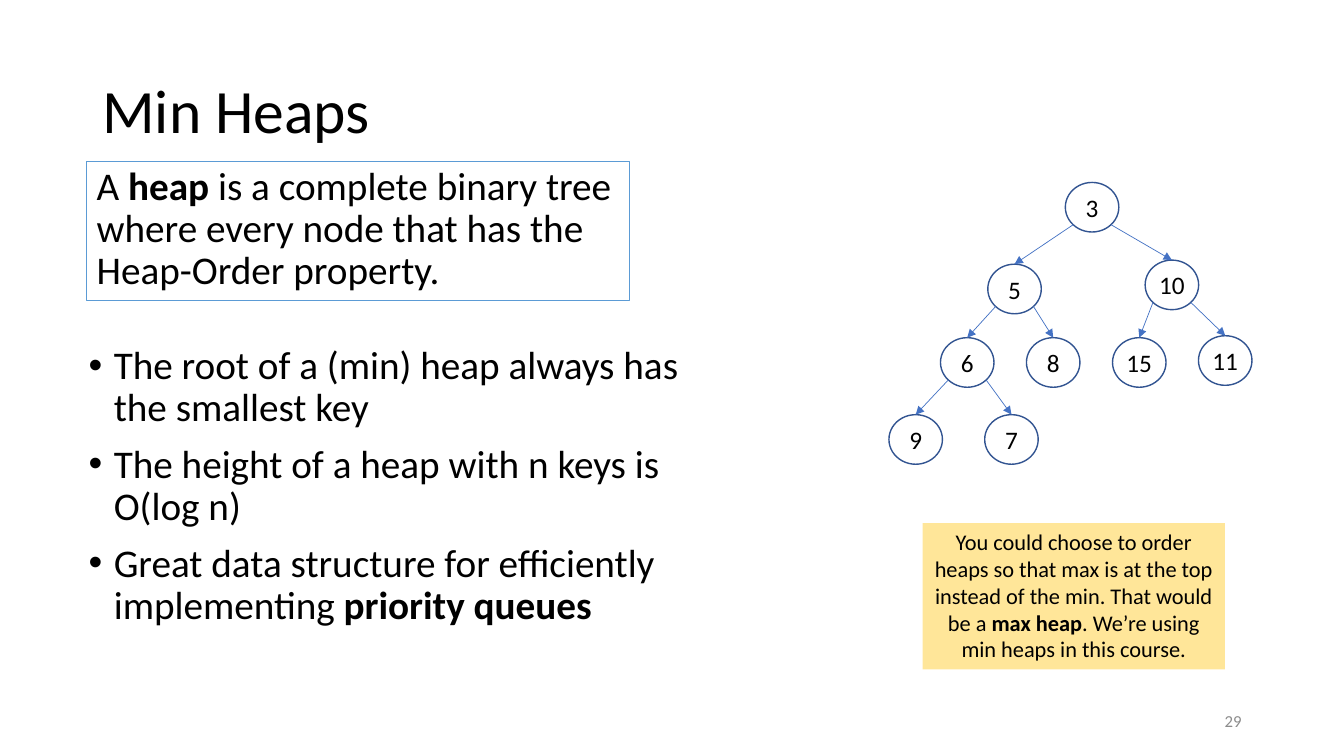
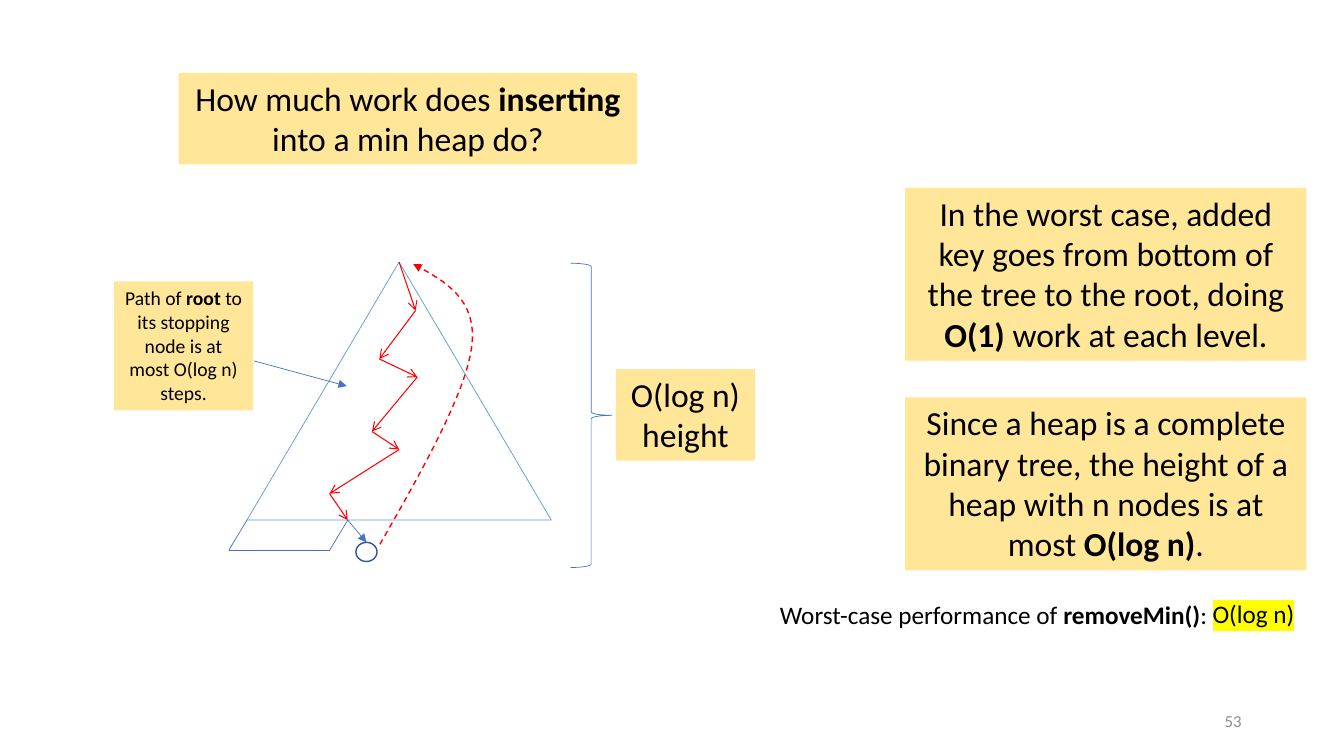
"""Builds two slides on min heaps: their definition and the cost of inserting."""
from itertools import pairwise

from lxml.etree import SubElement
from pptx import Presentation
from pptx.dml.color import RGBColor
from pptx.enum.dml import MSO_LINE
from pptx.enum.shapes import MSO_CONNECTOR, MSO_SHAPE as SHAPE
from pptx.enum.text import MSO_ANCHOR as ANCHOR, PP_ALIGN as ALIGN
from pptx.oxml.ns import qn
from pptx.util import Pt

FONT = "Calibri"
BLACK = RGBColor(0x00, 0x00, 0x00)
GREY = RGBColor(0x8C, 0x8C, 0x8C)
NAVY = RGBColor(0x32, 0x54, 0x91)
BLUE = RGBColor(0x44, 0x72, 0xC4)
SKY = RGBColor(0x5B, 0x9B, 0xD5)
RED = RGBColor(0xFF, 0x00, 0x00)
SAND = RGBColor(0xFF, 0xE6, 0x99)
YELLOW = RGBColor(0xFF, 0xFF, 0x00)

NODE_W, NODE_H = 38.2, 35.4
DIAGONAL = 0.5 ** 0.5 / 2
HEAP = {
    3: (761, 130.3),
    5: (705.6, 188.7), 10: (818, 185.8),
    6: (671.8, 241.2), 8: (733.2, 241.2), 15: (794.7, 241.2), 11: (856.1, 239.8),
    9: (635, 296.2), 7: (703.4, 296.2),
}
CHILDREN = {3: (5, 10), 5: (6, 8), 10: (15, 11), 6: (9, 7)}

LAST_LEVEL = [(176.4, 371.5), (163.4, 393.1), (235.4, 393.1), (248.4, 371.5)]
SIFT_STEPS = [(285.1, 187.2), (296.9, 221.8), (271, 256.4), (298.1, 269.3),
              (265.7, 308.2), (285.1, 321.1), (235.4, 352.6), (248.4, 371.5)]
RETURN_CURVES = [
    [(271.4, 388.8), (302.4, 334.8), (332.6, 280.8), (337, 247.7)],
    [(337, 247.7), (341.3, 213.8), (318.2, 200.9), (295.2, 188.6)],
]


def write(shape, *paragraphs, size=24, color=BLACK, align=ALIGN.LEFT, anchor=ANCHOR.TOP,
          spacing=None, before=None, bullet=False, wrap=True, inset=None, highlight=None):
    """Fill a shape with paragraphs in which ** marks bold and a newline breaks the line."""
    frame = shape.text_frame
    frame.word_wrap = wrap
    frame.vertical_anchor = anchor
    if inset is not None:
        frame.margin_left = frame.margin_right = Pt(inset)
        frame.margin_top = frame.margin_bottom = Pt(inset)
    for index, text in enumerate(paragraphs):
        paragraph = frame.add_paragraph() if index else frame.paragraphs[0]
        paragraph.alignment = align
        if spacing:
            paragraph.line_spacing = spacing
        if before:
            paragraph.space_before = Pt(before)
        if bullet:
            add_bullet(paragraph)
        for part, words in enumerate(text.split("**")):
            for row, line in enumerate(words.split("\n")):
                if row:
                    paragraph.add_line_break()
                if line:
                    add_run(paragraph, line, size, color, part % 2 == 1, highlight)


def add_run(paragraph, words, size, color, bold, highlight):
    """Add one run of formatted text."""
    run = paragraph.add_run()
    run.text = words
    font = run.font
    font.name, font.size, font.bold = FONT, Pt(size), bold
    font.color.rgb = color
    if highlight:
        properties = run._r.get_or_add_rPr()
        marker = SubElement(properties, qn("a:highlight"))
        SubElement(marker, qn("a:srgbClr"), val=str(highlight))
        properties.find(qn("a:solidFill")).addnext(marker)


def add_bullet(paragraph):
    """Give a paragraph a round bullet with a hanging indent."""
    properties = paragraph._p.get_or_add_pPr()
    properties.set("marL", str(Pt(18)))
    properties.set("indent", str(-Pt(18)))
    SubElement(properties, qn("a:buFont"), typeface="Arial")
    SubElement(properties, qn("a:buChar"), char="•")


def add_label(slide, box, *paragraphs, **text_format):
    """Add a text box without fill or outline."""
    label = slide.shapes.add_textbox(*map(Pt, box))
    write(label, *paragraphs, **text_format)


def add_outline(slide, kind, box, color, width):
    """Add an unfilled preset shape."""
    outline = slide.shapes.add_shape(kind, *map(Pt, box))
    outline.shadow.inherit = False
    outline.fill.background()
    outline.line.color.rgb = color
    outline.line.width = Pt(width)
    return outline


def add_note(slide, box, text, size=24):
    """Add a sand-coloured note with centred text."""
    note = slide.shapes.add_shape(SHAPE.RECTANGLE, *map(Pt, box))
    note.shadow.inherit = False
    note.fill.solid()
    note.fill.fore_color.rgb = SAND
    note.line.fill.background()
    write(note, text, size=size, align=ALIGN.CENTER)


def add_tip(shape, tip):
    """Put an arrowhead at the end of a line."""
    SubElement(shape.line._get_or_add_ln(), qn("a:tailEnd"), type=tip)


def add_line(slide, start, end, color=BLUE, width=0.5, tip=None, target=None):
    """Add a straight line, with an arrowhead and a target to join at its top if given."""
    line = slide.shapes.add_connector(MSO_CONNECTOR.STRAIGHT, *map(Pt, (*start, *end)))
    line.line.color.rgb = color
    line.line.width = Pt(width)
    SubElement(line._element.spPr, qn("a:effectLst"))
    if tip:
        add_tip(line, tip)
    if target:
        line.end_connect(target, 0)


def add_heap(slide):
    """Draw the example heap with an arrow from each parent to its children."""
    nodes = {}
    for key, (left, top) in HEAP.items():
        nodes[key] = add_outline(slide, SHAPE.OVAL, (left, top, NODE_W, NODE_H), NAVY, 1)
        write(nodes[key], str(key), size=18, align=ALIGN.CENTER,
              anchor=ANCHOR.MIDDLE, wrap=False, inset=0)
    for parent, children in CHILDREN.items():
        left, top = HEAP[parent]
        for child, side in zip(children, (-1, 1)):
            start = (left + NODE_W * (0.5 + side * DIAGONAL), top + NODE_H * (0.5 + DIAGONAL))
            child_left, child_top = HEAP[child]
            add_line(slide, start, (child_left + NODE_W / 2, child_top),
                     tip="triangle", target=nodes[child])


def bezier(points, t):
    """Return the point at t on a cubic curve."""
    weights = ((1 - t) ** 3, 3 * t * (1 - t) ** 2, 3 * t * t * (1 - t), t ** 3)
    return tuple(Pt(sum(w * p[axis] for w, p in zip(weights, points))) for axis in (0, 1))


def add_return_path(slide, steps=16):
    """Draw the dashed curve from the new leaf up to the root."""
    points = [bezier(curve, step / steps)
              for curve in RETURN_CURVES for step in range(1, steps + 1)]
    builder = slide.shapes.build_freeform(*bezier(RETURN_CURVES[0], 0))
    builder.add_line_segments(points, close=False)
    curve = builder.convert_to_shape()
    curve.shadow.inherit = False
    curve.fill.background()
    curve.line.color.rgb = RED
    curve.line.width = Pt(1)
    curve.line.dash_style = MSO_LINE.DASH
    add_tip(curve, "triangle")


def add_insertion_tree(slide):
    """Draw the tree outline, its last level, the new leaf and the path between leaf and root."""
    add_outline(slide, SHAPE.RIGHT_BRACE, (407.5, 188, 29.5, 217.4), BLUE, 0.5)
    add_outline(slide, SHAPE.ISOSCELES_TRIANGLE, (176.4, 187.2, 217.4, 184.3), SKY, 0.5)
    for start, end in pairwise(LAST_LEVEL):
        add_line(slide, start, end)
    leaf = add_outline(slide, SHAPE.OVAL, (254.2, 387.4, 15.1, 13.7), NAVY, 1)
    add_line(slide, LAST_LEVEL[-1], (261.7, 387.4), tip="triangle", target=leaf)
    for start, end in pairwise(SIFT_STEPS):
        add_line(slide, start, end, color=RED, width=0.75, tip="arrow")
    add_return_path(slide)


def add_slide(deck, number):
    """Add a blank slide with its page number."""
    slide = deck.slides.add_slide(deck.slide_layouts[6])
    add_label(slide, (678, 500.5, 216, 28.8), str(number), size=12, color=GREY,
              align=ALIGN.RIGHT, anchor=ANCHOR.MIDDLE)
    return slide


def build_definition(deck):
    """Build the slide that defines a min heap."""
    slide = add_slide(deck, 29)
    add_label(slide, (66, 28.8, 828, 104.4), "Min Heaps", size=44,
              anchor=ANCHOR.MIDDLE, spacing=0.9)
    add_label(slide, (56.2, 243.4, 460.8, 226.8),
              "The root of a (min) heap always has the smallest key",
              "The height of a heap with n keys is O(log n)",
              "Great data structure for efficiently implementing **priority queues**",
              size=28, spacing=0.9, before=10, bullet=True)
    add_heap(slide)
    add_note(slide, (659, 373.7, 216, 104.4),
             "You could choose to order heaps so that max is at the top instead of the min. "
             "That would be a **max heap**. We’re using min heaps in this course.", size=16)
    definition = add_outline(slide, SHAPE.RECTANGLE, (62, 115.2, 388, 99.4), SKY, 0.75)
    write(definition, "A **heap** is a complete binary tree where every node that has the \n"
          "Heap-Order property.", size=28, spacing=0.9, before=10)


def build_insertion_cost(deck):
    """Build the slide on the work done by an insertion."""
    slide = add_slide(deck, 53)
    add_note(slide, (127.6, 52, 327.6, 65.4),
             "How much work does **inserting** into a min heap do?")
    add_note(slide, (646.6, 134, 286.6, 123.7),
             "In the worst case, added key goes from bottom of the tree to the root, "
             "doing **O(1)** work at each level.")
    add_note(slide, (646.6, 283.8, 286.6, 123.7),
             "Since a heap is a complete binary tree, the height of a heap with n nodes "
             "is at most **O(log n)**.")
    add_insertion_tree(slide)
    add_note(slide, (439.9, 263.6, 99.4, 65.4), "O(log n) height")
    add_line(slide, (181.4, 257.8), (247.7, 275.8), tip="triangle")
    add_note(slide, (81.4, 201, 99.4, 92.2),
             "Path of **root** to its stopping node is at most O(log n) steps.", size=14)
    add_label(slide, (550, 424.8, 321.8, 28.8),
              "Worst-case performance of **removeMin()**:", size=18)
    add_label(slide, (859, 424.1, 73.4, 28.8), "O(log n)", size=18,
              wrap=False, highlight=YELLOW)


def main():
    """Build and save the deck."""
    deck = Presentation()
    deck.slide_width, deck.slide_height = Pt(960), Pt(540)
    build_definition(deck)
    build_insertion_cost(deck)
    deck.save("out.pptx")


if __name__ == "__main__":
    main()
